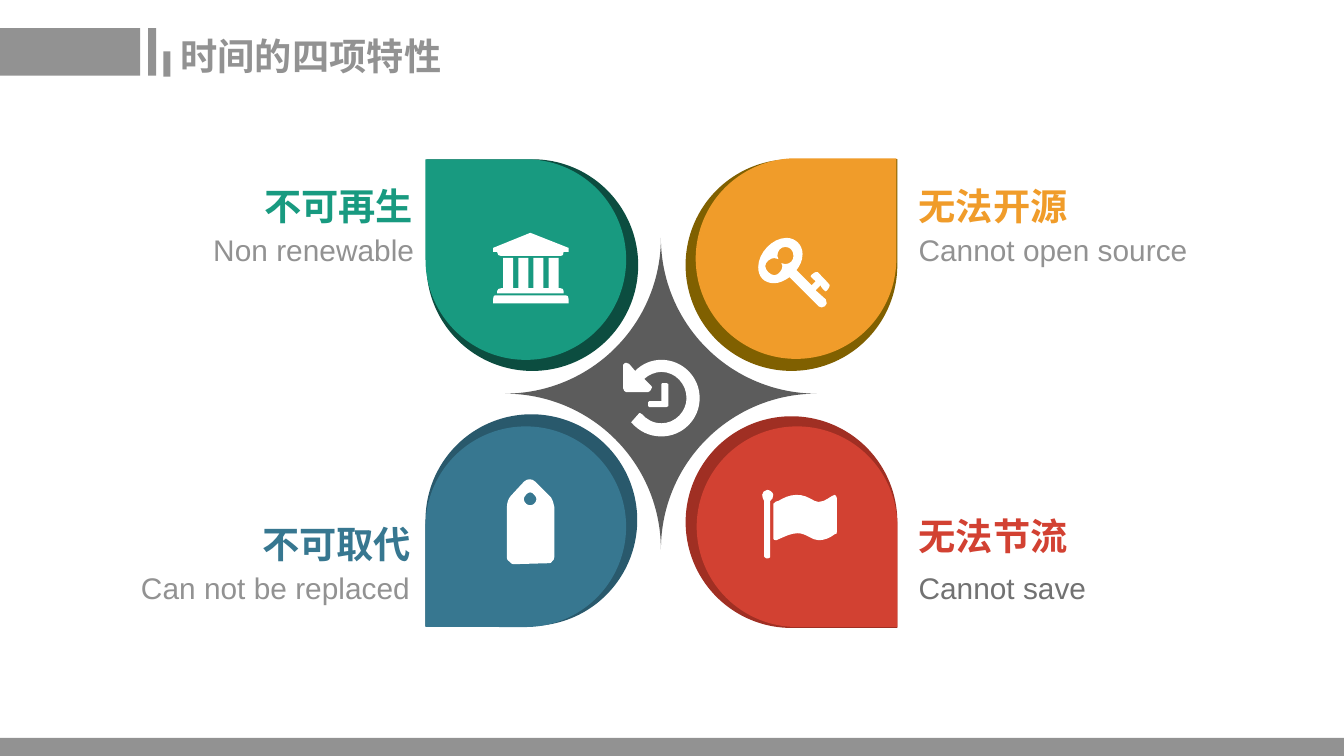
from math import cos, radians, sin

from lxml.etree import SubElement
from pptx import Presentation
from pptx.dml.color import RGBColor
from pptx.enum.shapes import MSO_SHAPE
from pptx.enum.text import MSO_ANCHOR, MSO_AUTO_SIZE, PP_ALIGN
from pptx.oxml.ns import qn
from pptx.oxml.xmlchemy import OxmlElement
from pptx.util import Inches, Pt

COLORS = {
    "grey": "929292", "dark grey": "727272", "star": "5C5C5C", "white": "FFFFFF",
    "green": "189A80", "green rim": "0C4D40",
    "orange": "F09C2A", "orange rim": "806000",
    "blue": "377790", "blue rim": "29596C",
    "red": "D24132", "red rim": "A02F23",
}
CJK, LATIN = "Noto Sans CJK SC", "Arial"
HEADING_SIZE, CAPTION_SIZE = 26.65, 21.33
RIM, FACE = 2.1, 1.99  # diameters of a petal's rim and face

TITLE = "时间的四项特性"
BARS = [(0, 0.28, 1.39, 0.47), (1.47, 0.28, 0.08, 0.47),
        (1.62, 0.51, 0.07, 0.25), (0, 7.32, 13.33, 0.18)]

# color, rotation, rim corner, face corner
PETALS = [
    ("orange", 0, (6.8, 1.58), (6.9, 1.57)),
    ("blue", 180, (4.22, 4.11), (4.22, 4.23)),
    ("red", 90, (6.8, 4.13), (6.91, 4.23)),
    ("green", 270, (4.23, 1.58), (4.22, 1.58)),
]

# heading, its color, left and top; caption, its color, left, top and width; alignment
LABELS = [
    ("不可再生", "green", 2.61, 1.82, "Non renewable", "grey", 0.79, 2.3, 3.32, PP_ALIGN.RIGHT),
    ("不可取代", "blue", 2.59, 5.17, "Can not be replaced", "grey", 0.79, 5.65, 3.28,
     PP_ALIGN.RIGHT),
    ("无法开源", "orange", 9.11, 1.82, "Cannot open source", "grey", 9.11, 2.3, 3.32,
     PP_ALIGN.LEFT),
    ("无法节流", "red", 9.11, 5.09, "Cannot save", "dark grey", 9.11, 5.65, 3.32, PP_ALIGN.LEFT),
]


def box(left, top, right, bottom):
    return [(left, top), (right, top), (right, bottom), (left, bottom)]


# An icon is a list of outlines; a pair is a corner, six numbers are a Bézier curve.
BANK = [
    [(5.26, 2.31), (5.64, 2.46), (5.64, 2.5), (5.59, 2.5), (5.59, 2.53, 5.58, 2.54, 5.56, 2.54),
     (4.97, 2.54), (4.95, 2.54, 4.93, 2.53, 4.93, 2.5), (4.89, 2.5), (4.89, 2.46)],
    [(4.89, 3.01), (4.89, 2.97), (4.89, 2.94, 4.9, 2.93, 4.91, 2.93),
     (5.61, 2.93), (5.63, 2.93, 5.64, 2.94, 5.64, 2.97), (5.64, 3.01)],
    [(4.93, 2.91), (4.93, 2.89), (4.93, 2.87, 4.95, 2.86, 4.97, 2.86),
     (5.56, 2.86), (5.58, 2.86, 5.59, 2.87, 5.59, 2.89), (5.59, 2.91)],
    *[box(4.99 + 0.15 * i, 2.56, 5.09 + 0.15 * i, 2.86) for i in range(4)],
]
FLAG = [
    [(7.64, 4.97), (7.64, 5.52), (7.64, 5.52, 7.64, 5.54, 7.62, 5.54), (7.6, 5.54),
     (7.59, 5.54, 7.58, 5.52, 7.58, 5.52), (7.58, 4.97), (7.57, 4.96, 7.56, 4.93, 7.56, 4.91),
     (7.56, 4.89, 7.58, 4.86, 7.61, 4.86), (7.64, 4.86, 7.67, 4.89, 7.67, 4.91),
     (7.67, 4.93, 7.66, 4.96, 7.64, 4.97)],
    [(8.3, 5.28), (8.3, 5.29, 8.3, 5.3, 8.28, 5.3), (8.23, 5.34, 8.17, 5.36, 8.12, 5.36),
     (8.05, 5.36, 8, 5.29, 7.91, 5.29), (7.84, 5.29, 7.77, 5.33, 7.7, 5.36), (7.69, 5.36),
     (7.68, 5.36, 7.67, 5.35, 7.67, 5.34), (7.67, 5.01), (7.67, 5, 7.67, 4.99, 7.68, 4.99),
     (7.69, 4.98, 7.7, 4.97, 7.72, 4.97), (7.77, 4.94, 7.83, 4.91, 7.9, 4.91),
     (7.97, 4.91, 8.01, 4.93, 8.08, 4.97), (8.09, 4.97, 8.11, 4.98, 8.12, 4.98),
     (8.19, 4.98, 8.25, 4.91, 8.28, 4.91), (8.29, 4.91, 8.3, 4.93, 8.3, 4.94)],
]
CLOCK = [
    [(6.56, 4.33), (6.44, 4.33, 6.34, 4.28, 6.26, 4.19), (6.34, 4.1), (6.35, 4.1), (6.37, 4.11),
     (6.41, 4.16, 6.48, 4.2, 6.56, 4.2), (6.7, 4.2, 6.81, 4.08, 6.81, 3.95),
     (6.81, 3.81, 6.7, 3.69, 6.56, 3.69), (6.5, 3.69, 6.43, 3.72, 6.39, 3.76), (6.46, 3.83),
     (6.47, 3.83, 6.47, 3.85, 6.46, 3.86), (6.46, 3.87, 6.44, 3.89, 6.43, 3.89), (6.21, 3.89),
     (6.2, 3.89, 6.18, 3.87, 6.18, 3.85), (6.18, 3.62), (6.18, 3.61, 6.18, 3.61, 6.2, 3.6),
     (6.21, 3.6, 6.22, 3.6, 6.24, 3.61), (6.3, 3.68), (6.37, 3.61, 6.46, 3.57, 6.56, 3.57),
     (6.77, 3.57, 6.94, 3.74, 6.94, 3.95), (6.94, 4.16, 6.77, 4.33, 6.56, 4.33)],
    [(6.63, 4.03), (6.61, 4.04), (6.44, 4.04), (6.43, 4.03), (6.43, 3.99), (6.44, 3.98),
     (6.56, 3.98), (6.56, 3.81), (6.57, 3.8), (6.61, 3.8), (6.63, 3.81)],
]
KEY = [
    [(8.19, 2.89), (8.18, 2.89, 8.14, 2.85, 8.14, 2.83), (8.09, 2.88), (8.19, 2.97),
     (8.19, 2.98, 8.2, 3, 8.2, 3.01), (8.2, 3.03, 8.17, 3.05, 8.15, 3.05),
     (8.14, 3.05, 8.13, 3.05, 8.12, 3.04), (7.83, 2.75), (7.79, 2.78, 7.73, 2.81, 7.68, 2.81),
     (7.58, 2.81, 7.52, 2.75, 7.52, 2.65), (7.52, 2.51, 7.66, 2.36, 7.8, 2.36),
     (7.89, 2.36, 7.96, 2.43, 7.96, 2.52), (7.96, 2.59, 7.93, 2.64, 7.9, 2.68), (8.05, 2.83),
     (8.09, 2.79), (8.08, 2.78, 8.04, 2.75, 8.04, 2.74), (8.04, 2.73, 8.08, 2.7, 8.09, 2.7),
     (8.11, 2.7), (8.12, 2.71, 8.23, 2.82, 8.23, 2.83), (8.23, 2.85, 8.2, 2.89, 8.19, 2.89)],
    [(7.79, 2.45), (7.74, 2.45, 7.71, 2.49, 7.71, 2.54), (7.71, 2.55, 7.71, 2.56, 7.72, 2.57),
     (7.7, 2.57, 7.69, 2.56, 7.68, 2.56), (7.64, 2.56, 7.59, 2.6, 7.59, 2.64),
     (7.59, 2.68, 7.64, 2.73, 7.68, 2.73), (7.72, 2.73, 7.76, 2.68, 7.76, 2.64),
     (7.76, 2.63, 7.76, 2.62, 7.75, 2.61), (7.76, 2.61, 7.77, 2.62, 7.79, 2.62),
     (7.84, 2.62, 7.87, 2.58, 7.87, 2.54), (7.87, 2.49, 7.84, 2.45, 7.79, 2.45)],
]
TAG = [
    [(5.44, 5.59), (5.09, 5.6), (5.08, 5.6, 5.07, 5.59, 5.05, 5.57),
     (5.04, 5.56, 5.03, 5.56, 5.03, 5.54), (5.03, 5.03), (5.03, 5, 5.04, 4.95, 5.07, 4.92),
     (5.2, 4.78), (5.23, 4.75, 5.28, 4.75, 5.31, 4.78), (5.45, 4.92),
     (5.48, 4.94, 5.49, 4.99, 5.5, 5.03), (5.5, 5.53), (5.5, 5.55, 5.49, 5.56, 5.48, 5.57),
     (5.47, 5.59, 5.46, 5.59, 5.44, 5.59)],
    [(5.3, 4.91), (5.28, 4.88, 5.24, 4.88, 5.22, 4.91), (5.19, 4.94, 5.19, 4.97, 5.22, 5),
     (5.24, 5.02, 5.28, 5.02, 5.3, 5), (5.33, 4.97, 5.33, 4.94, 5.3, 4.91)],
]
TAG_CENTER, TAG_TILT = (5.26, 5.26), 44.2


def paint(shape, color):
    shape.shadow.inherit = False
    shape.fill.solid()
    shape.fill.fore_color.rgb = RGBColor.from_string(COLORS[color])
    shape.line.fill.background()


def add_preset(kind, left, top, width, height, color):
    shape = slide.shapes.add_shape(kind, Inches(left), Inches(top), Inches(width), Inches(height))
    paint(shape, color)
    return shape


def add_icon(outlines, center=(0, 0), tilt=0):
    """Draw the outlines upright, as a shape that carries the given rotation."""
    cosine, sine = cos(radians(tilt)), sin(radians(tilt))

    def untilt(x, y):
        dx, dy = x - center[0], y - center[1]
        return (Inches(center[0] + dx * cosine + dy * sine),
                Inches(center[1] - dx * sine + dy * cosine))

    builder = None
    for outline in outlines:
        start, *points = [untilt(*segment[i:i + 2])
                          for segment in outline for i in range(0, len(segment), 2)]
        if builder is None:
            builder = slide.shapes.build_freeform(*start)
        else:
            builder.move_to(*start)
        builder.add_line_segments(points, close=True)
    icon = builder.convert_to_shape()
    icon.rotation = tilt
    paint(icon, "white")

    # Each run of three lines that stands for a curve becomes one curve element.
    lines = iter(list(icon._element.iter(qn("a:lnTo"))))
    for segment in (segment for outline in outlines for segment in outline[1:]):
        line = next(lines)
        if len(segment) == 6:
            curve = OxmlElement("a:cubicBezTo")
            line.addprevious(curve)
            for handle in (line, next(lines), next(lines)):
                curve.append(handle[0])
                handle.getparent().remove(handle)


def write(frame, text, size, font_name, color, align, bold=False):
    frame.text = text
    paragraph = frame.paragraphs[0]
    paragraph.alignment = align
    font = paragraph.font
    font.size, font.bold = Pt(size), bold
    font.color.rgb = RGBColor.from_string(COLORS[color])
    font.name = font_name
    SubElement(paragraph._p.pPr.find(qn("a:defRPr")), qn("a:ea"), typeface=font_name)


def add_label(left, top, width, height, wrap, *style):
    frame = slide.shapes.add_textbox(*map(Inches, (left, top, width, height))).text_frame
    frame.margin_left = frame.margin_right = frame.margin_top = frame.margin_bottom = 0
    frame.word_wrap = wrap
    frame.auto_size = MSO_AUTO_SIZE.SHAPE_TO_FIT_TEXT
    write(frame, *style)


prs = Presentation()
prs.slide_width, prs.slide_height = Inches(13.33), Inches(7.5)
slide = prs.slides.add_slide(prs.slide_layouts[5])

title = slide.shapes.title
title.left, title.top, title.width, title.height = map(Inches, (1.69, 0.28, 3.01, 0.55))
title.text_frame.vertical_anchor = MSO_ANCHOR.TOP
title.text_frame.auto_size = MSO_AUTO_SIZE.NONE
write(title.text_frame, TITLE, HEADING_SIZE, CJK, "grey", PP_ALIGN.LEFT, True)

for bar in BARS:
    add_preset(MSO_SHAPE.RECTANGLE, *bar, "grey")

star = add_preset(MSO_SHAPE.PLAQUE, 5.01, 2.36, 3.09, 3.09, "star")
star.adjustments[0] = 0.5
for color, rotation, rim_corner, face_corner in PETALS:
    for corner, size, shade in ((rim_corner, RIM, color + " rim"), (face_corner, FACE, color)):
        add_preset(MSO_SHAPE.TEAR, *corner, size, size, shade).rotation = rotation

for icon in (BANK, FLAG, CLOCK, KEY):
    add_icon(icon)
add_icon(TAG, TAG_CENTER, TAG_TILT)

for heading, color, x, y, caption, caption_color, caption_x, caption_y, width, align in LABELS:
    add_label(x, y, 1.49, 0.45, False, heading, HEADING_SIZE, CJK, color, align, True)
    add_label(caption_x, caption_y, width, 0.36, True,
              caption, CAPTION_SIZE, LATIN, caption_color, align)

prs.save("out.pptx")
